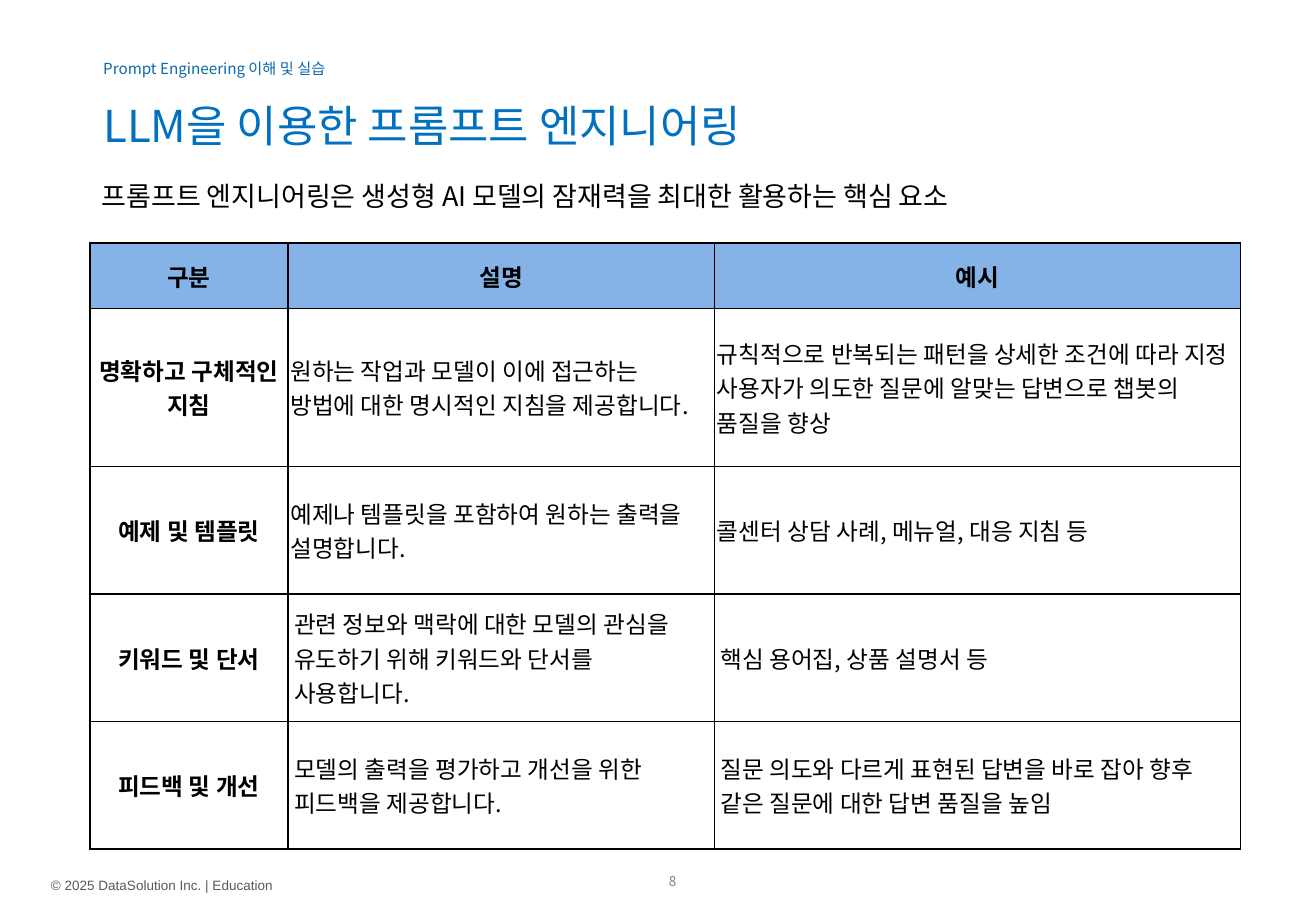
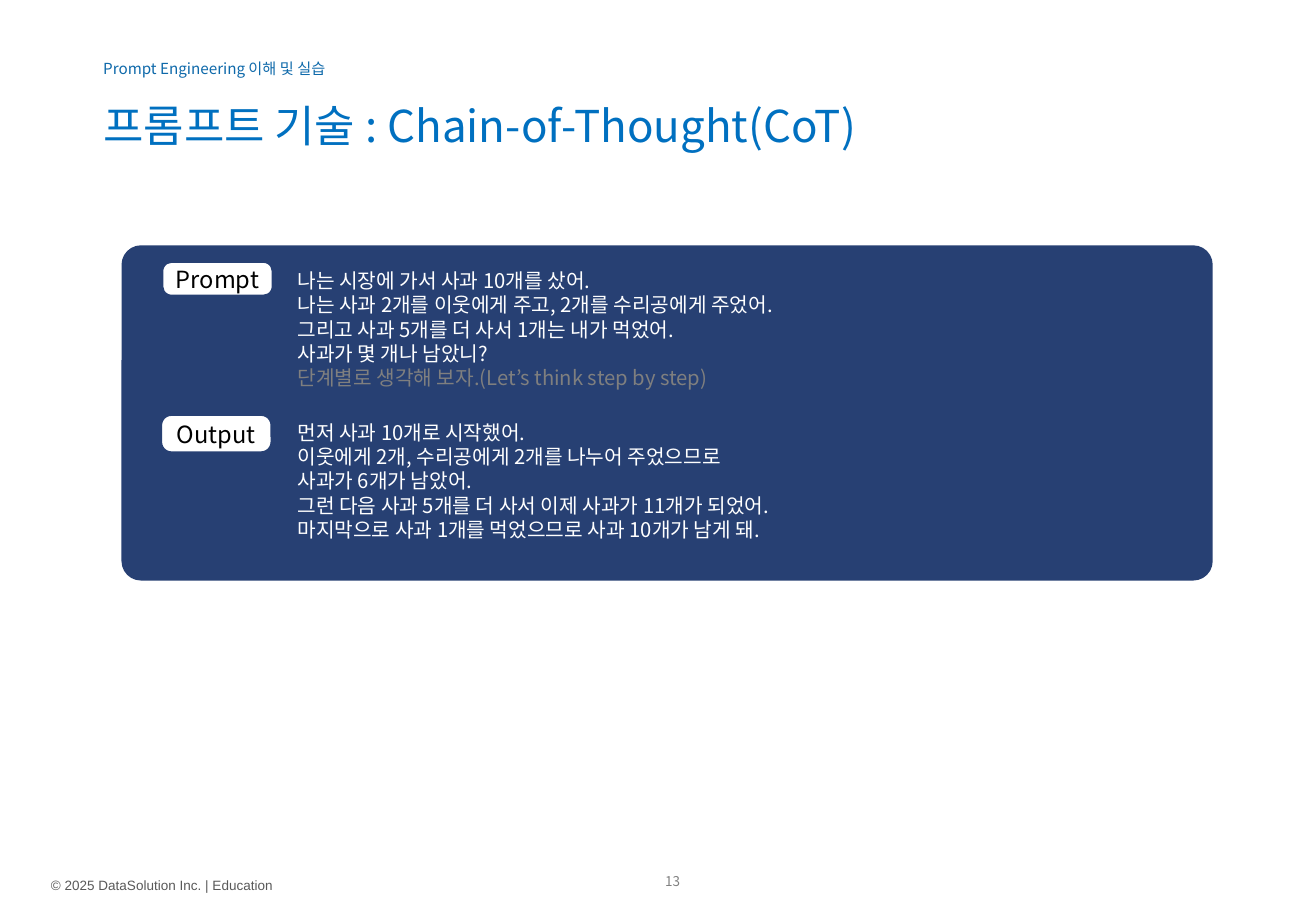
from dataclasses import dataclass

from lxml import etree
from pptx import Presentation
from pptx import util as u
from pptx.dml.color import RGBColor
from pptx.enum import shapes, text
from pptx.oxml import ns

Inches, Pt = u.Inches, u.Pt
LEFT, CENTER = text.PP_ALIGN.LEFT, text.PP_ALIGN.CENTER
TOP, MIDDLE = text.MSO_ANCHOR.TOP, text.MSO_ANCHOR.MIDDLE


@dataclass(frozen=True)
class Theme:
    font: str = "Noto Sans CJK KR"
    footer_font: str = "Arial"
    title: str = "0070C0"
    header: str = "0E69AA"
    footer: str = "595959"
    number: str = "808080"
    ink: str = "000000"
    white: str = "FFFFFF"
    hint: str = "7F7F7F"
    panel: str = "274073"
    table_head: str = "85B2E7"
    title_size: float = 26
    lead_size: float = 16
    label_size: float = 14
    body_size: float = 12
    header_size: float = 9
    small_size: float = 8
    tight: float = 1.2  # exact line height, as a multiple of the type size


T = Theme()

# Content
HEADER = "Prompt Engineering 이해 및 실습"
FOOTER = "© 2025 DataSolution Inc. | Education"

GUIDE = {
    "number": "8",
    "title": "LLM을 이용한 프롬프트 엔지니어링",
    "lead": "프롬프트 엔지니어링은 생성형 AI 모델의 잠재력을 최대한 활용하는 핵심 요소",
    "cols": [1.63, 3.51, 4.33],
    "heights": [0.54, 1.3, 1.05, 1.05, 1.05],
    "rows": [
        ("구분", "설명", "예시"),
        ("명확하고 구체적인 지침",
         "원하는 작업과 모델이 이에 접근하는\n방법에 대한 명시적인 지침을 제공합니다.",
         ["규칙적으로 반복되는 패턴을 상세한 조건에 따라 지정",
          "사용자가 의도한 질문에 알맞는 답변으로 챕봇의",
          "품질을 향상"]),
        ("예제 및 템플릿",
         "예제나 템플릿을 포함하여 원하는 출력을\n설명합니다.",
         "콜센터 상담 사례, 메뉴얼, 대응 지침 등"),
        ("키워드 및 단서",
         "관련 정보와 맥락에 대한 모델의 관심을\n유도하기 위해 키워드와 단서를\n사용합니다.",
         "핵심 용어집, 상품 설명서 등"),
        ("피드백 및 개선",
         "모델의 출력을 평가하고 개선을 위한\n피드백을 제공합니다.",
         "질문 의도와 다르게 표현된 답변을 바로 잡아 향후\n같은 질문에 대한 답변 품질을 높임"),
    ],
}

COT = {
    "number": "13",
    "title": "프롬프트 기술 : Chain-of-Thought(CoT)",
    # label, label box, text box, paragraphs with their colours
    "turns": [
        ("Prompt", (1.33, 2.15, 0.92, 0.29), (2.35, 2.16, 7.64, 1.11), [
            ("나는 시장에 가서 사과 10개를 샀어.\n"
             "나는 사과 2개를 이웃에게 주고, 2개를 수리공에게 주었어.\n"
             "그리고 사과 5개를 더 사서 1개는 내가 먹었어.\n"
             "사과가 몇 개나 남았니?", T.white),
            ("단계별로 생각해 보자.(Let’s think step by step)", T.hint),
        ]),
        ("Output", (1.32, 3.41, 0.92, 0.32), (2.35, 3.41, 4.72, 1.11), [
            ("먼저 사과 10개로 시작했어.", T.white),
            ("이웃에게 2개, 수리공에게 2개를 나누어 주었으므로\n"
             "사과가 6개가 남았어.", T.white),
            ("그런 다음 사과 5개를 더 사서 이제 사과가 11개가 되었어.", T.white),
            ("마지막으로 사과 1개를 먹었으므로 사과 10개가 남게 돼.", T.white),
        ]),
    ],
}


# Helpers
def rgb(value):
    return RGBColor.from_string(value)


def box(at):
    return [Inches(v) for v in at]


def add_run(p, words, size, color, bold, font):
    r = p.add_run()
    r.text = words
    r.font.size, r.font.bold, r.font.name = Pt(size), bold, font
    r.font.color.rgb = rgb(color)
    r_pr = r.font._element
    r_pr.set("kern", "0")  # no pair kerning, so Korean word gaps keep full width
    etree.SubElement(r_pr, ns.qn("a:ea"), typeface=font)


def write(tf, paras, size, color=T.ink, bold=False, align=LEFT, font=T.font, spacing=None):
    """Fill a frame; each paragraph is a string or a (string, colour) pair."""
    for i, para in enumerate(paras):
        words, tint = (para, color) if isinstance(para, str) else para
        p = tf.paragraphs[0] if i == 0 else tf.add_paragraph()
        p.alignment = align
        if spacing:
            p.line_spacing = Pt(size * spacing)
        for n, line in enumerate(words.split("\n")):
            if n:
                p.add_line_break()
            add_run(p, line, size, tint, bold, font)


def frame(sp, inset=(0, 0), anchor=MIDDLE, wrap=True):
    tf = sp.text_frame
    tf.word_wrap, tf.auto_size, tf.vertical_anchor = wrap, text.MSO_AUTO_SIZE.NONE, anchor
    tf.margin_left = tf.margin_right = Inches(inset[0])
    tf.margin_top = tf.margin_bottom = Inches(inset[1])
    return tf


def add_text(s, at, paras, size, color=T.ink, inset=(0.1, 0.05), anchor=TOP, wrap=True, **style):
    sp = s.shapes.add_textbox(*box(at))
    write(frame(sp, inset, anchor, wrap), paras, size, color, **style)


def add_round(s, at, adj, fill, line=None):
    sp = s.shapes.add_shape(shapes.MSO_SHAPE.ROUNDED_RECTANGLE, *box(at))
    sp.shadow.inherit = False
    sp.adjustments[0] = adj
    sp.fill.solid()
    sp.fill.fore_color.rgb = rgb(fill)
    if line:
        sp.line.color.rgb, sp.line.width = rgb(line), Pt(2)
    else:
        sp.line.fill.background()
    return sp


def set_borders(cell):
    tc_pr = cell._tc.get_or_add_tcPr()
    for i, side in enumerate(("lnL", "lnR", "lnT", "lnB")):
        ln = etree.Element(ns.qn("a:" + side), w=str(Pt(1)))
        fill = etree.SubElement(ln, ns.qn("a:solidFill"))
        etree.SubElement(fill, ns.qn("a:srgbClr"), val=T.ink)
        tc_pr.insert(i, ln)


# Parts shared by every slide
def add_slide(prs, content):
    s = prs.slides.add_slide(prs.slide_layouts.get_by_name("Title Only"))
    add_text(s, (5.31, 7.19, 0.45, 0.13), [content["number"]], T.small_size, T.number,
             inset=(0, 0), anchor=MIDDLE, align=CENTER)
    add_text(s, (0.85, 0.47, 3.07, 0.18), [HEADER], T.header_size, T.header,
             inset=(0, 0.05), anchor=MIDDLE)
    add_text(s, (0.32, 7.17, 2.06, 0.24), [FOOTER], T.small_size, T.footer,
             wrap=False, font=T.footer_font)
    title = s.shapes.title
    title.left, title.top, title.width, title.height = box((0.85, 0.81, 8.61, 0.44))
    write(frame(title), [content["title"]], T.title_size, T.title)
    return s


# Table slide
def build_guide(prs):
    s = add_slide(prs, GUIDE)
    rows, cols, heights = GUIDE["rows"], GUIDE["cols"], GUIDE["heights"]
    at = (0.74, 2, sum(cols), sum(heights))
    table = s.shapes.add_table(len(rows), len(cols), *box(at)).table
    table.first_row = table.horz_banding = False
    for col, width in zip(table.columns, cols):
        col.width = Inches(width)
    for i, values in enumerate(rows):
        table.rows[i].height = Inches(heights[i])
        side, edge = (0.02, 0.01) if i < 3 else (0.05, 0.02)
        for j, value in enumerate(values):
            cell = table.cell(i, j)
            cell.vertical_anchor = MIDDLE
            cell.margin_left = cell.margin_right = Inches(side)
            cell.margin_top = cell.margin_bottom = Inches(edge)
            if i == 0:
                cell.fill.solid()
                cell.fill.fore_color.rgb = rgb(T.table_head)
            else:
                cell.fill.background()
            set_borders(cell)
            heading = i == 0 or j == 0
            write(cell.text_frame, [value] if isinstance(value, str) else value,
                  T.label_size, bold=heading, align=CENTER if heading else LEFT)
    add_text(s, (0.74, 1.43, 9.48, 0.37), [GUIDE["lead"]], T.lead_size, spacing=T.tight)


# Dialogue slide
def build_cot(prs):
    s = add_slide(prs, COT)
    add_round(s, (1, 2.02, 8.98, 2.76), 0.058, T.panel)
    for label, label_at, text_at, paras in COT["turns"]:
        sp = add_round(s, label_at, 0.283, T.white, T.panel)
        write(frame(sp), [label], T.label_size, align=CENTER)
        add_text(s, text_at, paras, T.body_size, spacing=T.tight)


def main():
    prs = Presentation()
    prs.slide_width, prs.slide_height = Inches(10.83), Inches(7.5)
    build_guide(prs)
    build_cot(prs)
    prs.save("out.pptx")


if __name__ == "__main__":
    main()
